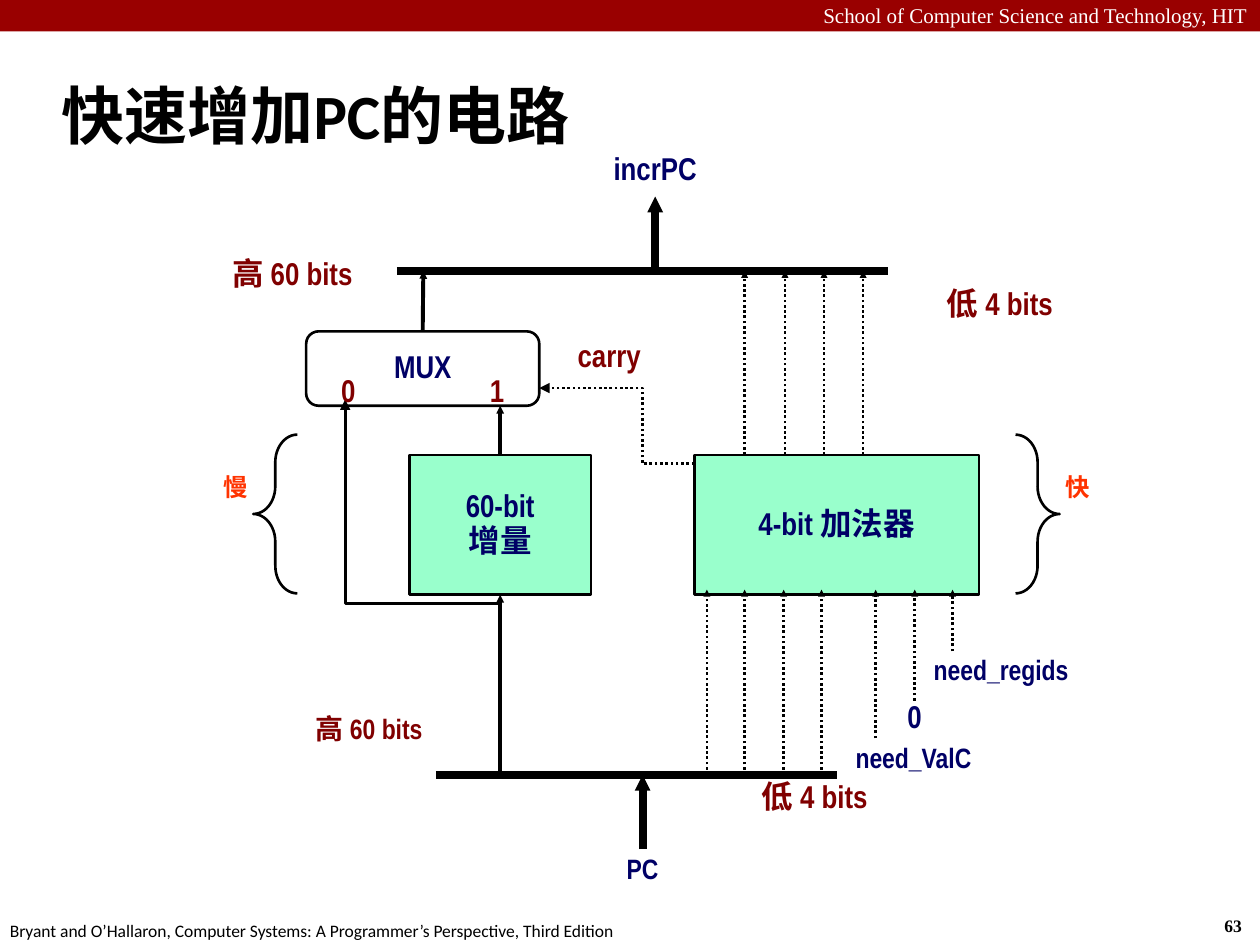
from dataclasses import dataclass

from lxml.etree import SubElement
from pptx import Presentation
from pptx.dml.color import RGBColor
from pptx.enum.dml import MSO_LINE
from pptx.enum.shapes import MSO_CONNECTOR, MSO_SHAPE
from pptx.enum.text import MSO_ANCHOR, PP_ALIGN
from pptx.oxml.ns import qn
from pptx.util import Pt

PX = 9144  # EMU
LEFT, CENTER, RIGHT = PP_ALIGN.LEFT, PP_ALIGN.CENTER, PP_ALIGN.RIGHT


@dataclass(frozen=True)
class Theme:
    """Colours, fonts, type sizes and line widths of the slide."""
    banner: str = "990000"
    white: str = "FFFFFF"
    black: str = "000000"
    unit: str = "99FFCC"
    signal: str = "000066"
    bits: str = "800000"
    speed: str = "FF3300"
    diagram_font: str = "Arial Narrow"
    title_font: str = "Calibri"
    banner_font: str = "Times New Roman"
    title: int = 36
    large: int = 18
    medium: int = 16
    small: int = 14
    header: int = 12
    footer: int = 10
    thin: float = 1.5
    wire: float = 2.25
    bus: float = 4.5


THEME = Theme()


def px(*lengths):
    """Turn px lengths into EMU."""
    return [length * PX for length in lengths]


def rgb(colour):
    """Return the colour object of a hex value."""
    return RGBColor.from_string(colour)


def apply(target, values):
    """Set every attribute named in values on target."""
    for name, value in values.items():
        setattr(target, name, value)


def write(shape, text, colour, size, font=THEME.diagram_font, bold=True,
          align=CENTER, anchor=MSO_ANCHOR.TOP, inset=(5, 5), spacing=0.9):
    """Fill a shape with formatted paragraphs."""
    frame = shape.text_frame
    side, top = px(*inset)
    apply(frame, {"word_wrap": True, "vertical_anchor": anchor,
                  "margin_left": side, "margin_right": side,
                  "margin_top": top, "margin_bottom": top})
    frame.text = text
    for paragraph in frame.paragraphs:
        apply(paragraph, {"alignment": align, "line_spacing": spacing})
        for run in paragraph.runs:
            apply(run.font, {"name": font, "size": Pt(size), "bold": bold})
            run.font.color.rgb = rgb(colour)


def add_label(slide, box, text, colour, size, **style):
    """Add a text box."""
    write(slide.shapes.add_textbox(*px(*box)), text, colour, size, **style)


def add_page_text(slide, box, text, colour, size, font, **style):
    """Add a text box of the page frame, with its wider margins."""
    add_label(slide, box, text, colour, size, font=font,
              inset=(10, 5), spacing=1.0, **style)


def style_line(line, width, dotted=False):
    """Give a line its colour, width and dash."""
    line.color.rgb = rgb(THEME.black)
    line.width = Pt(width)
    if dotted:
        line.dash_style = MSO_LINE.ROUND_DOT


def add_arrowhead(line, size):
    """Put a triangle at the far end of a line."""
    SubElement(line._get_or_add_ln(), qn("a:tailEnd"), type="triangle", w=size, len=size)


def add_outline(slide, kind, box, fill=None, adjustments=()):
    """Add a preset shape with a thin black outline."""
    shape = slide.shapes.add_shape(kind, *px(*box))
    shape.shadow.inherit = False
    for index, value in enumerate(adjustments):
        shape.adjustments[index] = value
    if fill:
        shape.fill.solid()
        shape.fill.fore_color.rgb = rgb(fill)
    else:
        shape.fill.background()
    style_line(shape.line, THEME.thin)
    return shape


def add_block(slide, kind, box, text, fill=None):
    """Add a captioned hardware block."""
    block = add_outline(slide, kind, box, fill)
    write(block, text, THEME.signal, THEME.large, anchor=MSO_ANCHOR.MIDDLE)
    return block


def add_wire(slide, start, end, width, dotted=False, arrow=True, source=None, target=None):
    """Add a straight wire, joined to (block, side) pairs if given."""
    wire = slide.shapes.add_connector(MSO_CONNECTOR.STRAIGHT, *px(*start, *end))
    style_line(wire.line, width, dotted)
    if arrow:
        add_arrowhead(wire.line, "sm")
    SubElement(wire._element.spPr, qn("a:effectLst"))
    if source:
        wire.begin_connect(*source)
    if target:
        wire.end_connect(*target)


def add_bent_wire(slide, points, dotted=False):
    """Add an open right-angled wire with an arrowhead."""
    builder = slide.shapes.build_freeform(*points[0], scale=PX)
    builder.add_line_segments(points[1:], close=False)
    wire = builder.convert_to_shape()
    wire.shadow.inherit = False
    wire.fill.background()
    style_line(wire.line, THEME.thin, dotted)
    add_arrowhead(wire.line, "med")


def add_page_frame(slide):
    """Add the banner, title, page number and source line."""
    banner = slide.shapes.add_shape(MSO_SHAPE.RECTANGLE, *px(0, 0, 1000, 25))
    banner.shadow.inherit = False
    banner.fill.solid()
    banner.fill.fore_color.rgb = rgb(THEME.banner)
    banner.line.fill.background()
    add_page_text(slide, (0, -3, 1000, 30), "School of Computer Science and Technology, HIT",
                  THEME.white, THEME.header, THEME.banner_font, bold=False, align=RIGHT)
    add_page_text(slide, (962, 721, 37, 27), "63", THEME.black, THEME.footer,
                  THEME.banner_font, align=LEFT)
    add_page_text(slide, (-2, 725, 508, 27),
                  "Bryant and O’Hallaron, Computer Systems: A Programmer’s Perspective, Third Edition",
                  THEME.black, THEME.footer, THEME.title_font, bold=False, align=LEFT)
    add_page_text(slide, (39, 49, 830, 83), "快速增加PC的电路", THEME.black, THEME.title,
                  THEME.title_font, align=LEFT, anchor=MSO_ANCHOR.MIDDLE)


def add_circuit(slide):
    """Add the blocks, buses, wires and braces."""
    add_block(slide, MSO_SHAPE.RECTANGLE, (551, 361, 226, 111), "4-bit 加法器", THEME.unit)
    increment = add_block(slide, MSO_SHAPE.RECTANGLE, (325, 361, 144, 111),
                          "60-bit\n增量", THEME.unit)
    mux = add_block(slide, MSO_SHAPE.ROUNDED_RECTANGLE, (243, 263, 185, 59), "MUX")

    pc_bus, result_bus, adder_top, adder_input = 615, 215, 361, 468
    adder_inputs = [(x, pc_bus) for x in (561, 591, 622, 652)]
    for x, y in adder_inputs + [(695, 586), (726, 556), (756, 517)]:
        add_wire(slide, (x, y), (x, adder_input), THEME.thin, dotted=True)
    for x in (591, 623, 654, 685):
        add_wire(slide, (x, adder_top), (x, result_bus), THEME.thin, dotted=True)

    add_wire(slide, (397, pc_bus), (397, 472), THEME.wire, target=(increment, 2))
    add_wire(slide, (397, 361), (397, 322), THEME.wire, source=(increment, 0))
    add_wire(slide, (336, 263), (336, result_bus), THEME.wire, source=(mux, 0))
    add_bent_wire(slide, [(397, 479), (274, 479), (274, 317)])
    add_bent_wire(slide, [(551, 368), (510, 368), (510, 308), (428, 308)], dotted=True)

    for y, left, right in ((pc_bus, 346, 664), (result_bus, 315, 705)):
        add_wire(slide, (left, y), (right, y), THEME.bus, arrow=False)
    for x, start, end in ((510, 674, pc_bus), (520, result_bus, 156)):
        add_wire(slide, (x, start), (x, end), THEME.bus)
    for kind, x in ((MSO_SHAPE.LEFT_BRACE, 201), (MSO_SHAPE.RIGHT_BRACE, 806)):
        add_outline(slide, kind, (x, 345, 35, 126), adjustments=(0.625, 0.5))


def add_circuit_labels(slide):
    """Add the signal, bit-width and speed labels."""
    signal, bits, speed = THEME.signal, THEME.bits, THEME.speed
    large, medium, small = THEME.large, THEME.medium, THEME.small
    for box, text, colour, size, align in (
        ((674, 586, 152, 40), "need_ValC", signal, medium, LEFT),
        ((736, 516, 175, 40), "need_regids", signal, medium, LEFT),
        ((711, 552, 30, 44), "0", signal, large, CENTER),
        ((428, 674, 164, 40), "PC", signal, medium, CENTER),
        ((438, 117, 164, 44), "incrPC", signal, large, CENTER),
        ((220, 563, 146, 40), "高 60 bits", bits, medium, CENTER),
        ((159, 200, 146, 44), "高 60 bits", bits, large, CENTER),
        ((588, 615, 117, 44), "低 4 bits", bits, large, CENTER),
        ((735, 224, 117, 44), "低 4 bits", bits, large, CENTER),
        ((263, 293, 27, 44), "0", bits, large, CENTER),
        ((381, 293, 27, 44), "1", bits, large, CENTER),
        ((446, 265, 75, 44), "carry", bits, large, CENTER),
        ((102, 372, 100, 90), "慢", speed, small, RIGHT),
        ((841, 372, 100, 90), "快", speed, small, LEFT),
    ):
        add_label(slide, box, text, colour, size, align=align)


def main():
    """Build and save the slide."""
    deck = Presentation()
    deck.slide_width, deck.slide_height = px(1000, 750)
    slide = deck.slides.add_slide(deck.slide_layouts[6])
    add_page_frame(slide)
    add_circuit(slide)
    add_circuit_labels(slide)
    deck.save("out.pptx")


if __name__ == "__main__":
    main()
